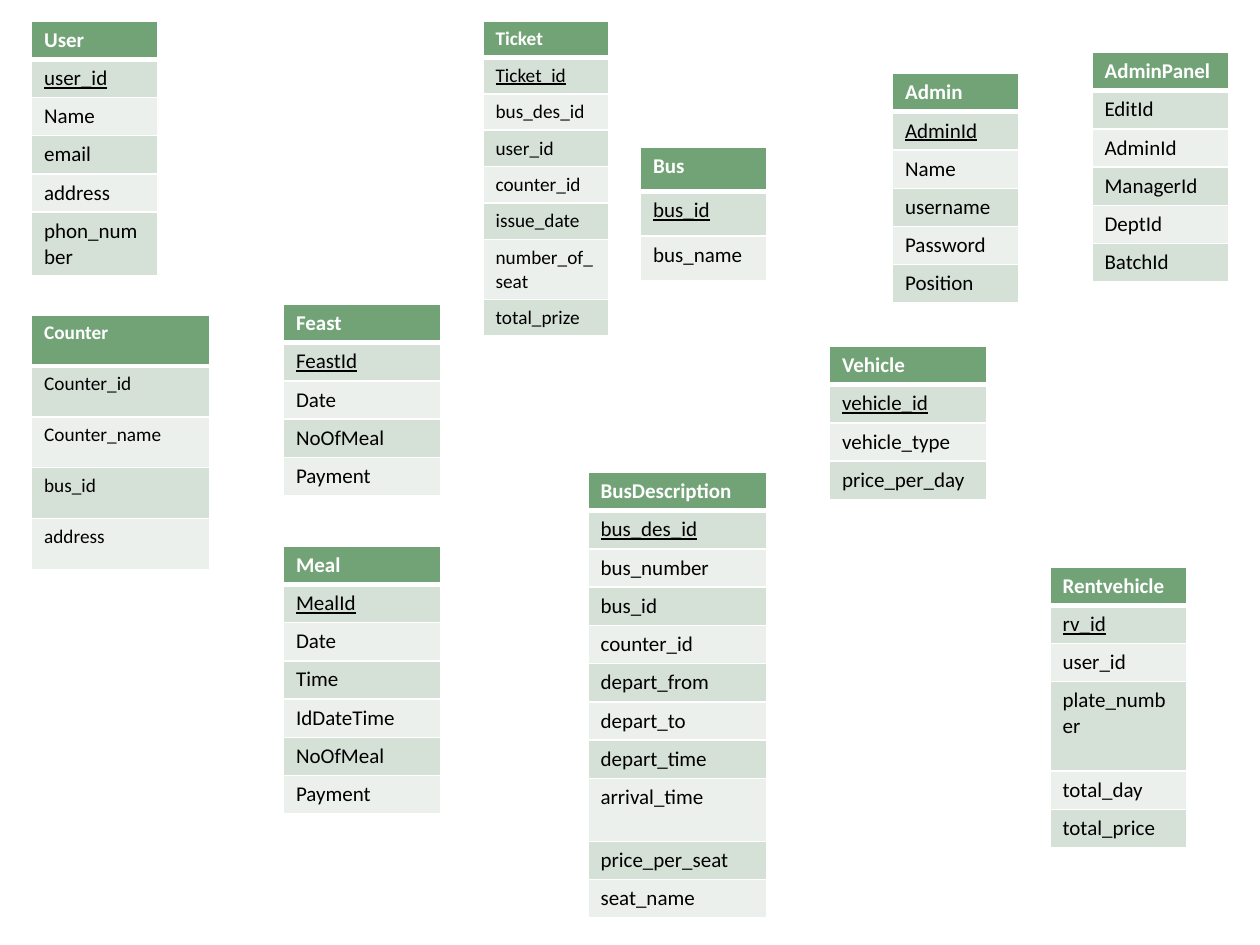
from lxml.etree import SubElement
from pptx import Presentation
from pptx.dml.color import RGBColor
from pptx.enum.text import PP_ALIGN
from pptx.oxml.ns import qn
from pptx.util import Inches, Pt

HEX = {"head": "72A376", "dark": "D5E0D6", "light": "EBF0EC",
       "white": "FFFFFF", "black": "000000"}
UNIT = Inches(1) / 12  # the slide is a grid of 120 columns by 90 rows


def write(cell, text, size=12, color="black", bold=False, under=False, align=None):
    para = cell.text_frame.paragraphs[0]
    para.alignment = align
    run = para.add_run()
    run.text = text
    font = run.font
    font.name, font.size = "Calibri", Pt(size)
    font.bold, font.underline = bold, under
    font.color.rgb = RGBColor.from_string(HEX[color])


def edge(cell, **widths):
    """Draw white borders; the schema wants left, right, top, bottom."""
    props = cell._tc.get_or_add_tcPr()
    for side in "LRTB":
        line = SubElement(props, qn(f"a:ln{side}"), w=str(Pt(widths.get(side, 1))))
        fill = SubElement(line, qn("a:solidFill"))
        SubElement(fill, qn("a:srgbClr"), val=HEX["white"])


def entity(slide, box, names, size=12, row=0.3, tall=None, key=True, just=True):
    """Place one entity: a header, then its fields, the first one the key."""
    left, top, width = (round(n * UNIT) for n in box)
    highs = [Inches((tall or {}).get(name, row)) for name in names]
    table = slide.shapes.add_table(len(names), 1, left, top, width, sum(highs)).table
    table.horz_banding = False
    table.columns[0].width = width
    for i, (name, high) in enumerate(zip(names, highs)):
        table.rows[i].height = high
        cell = table.cell(i, 0)
        head = i == 0
        # The rule under the header is thicker
        edge(cell, T=3 if i == 1 else 1, B=3 if head else 1)
        cell.fill.solid()
        tone = "head" if head else "dark" if i % 2 else "light"
        cell.fill.fore_color.rgb = RGBColor.from_string(HEX[tone])
        write(cell, name, size=size, color="white" if head else "black",
              bold=head, under=key and i == 1,
              align=PP_ALIGN.JUSTIFY if just else None)


# Each entity: box (left, top, width in grid units), names, options
ITEMS = [
    ((46, 2, 12), ["Ticket", "Ticket_id", "bus_des_id", "user_id", "counter_id",
                   "issue_date", "number_of_seat", "total_prize"],
     dict(size=11, row=0.28, tall={"number_of_seat": 0.47})),
    ((85, 7, 12), ["Admin", "AdminId", "Name", "username", "Password", "Position"], {}),
    ((61, 14, 12), ["Bus", "bus_id", "bus_name"], dict(row=1.06 / 3)),
    ((56, 45, 17), ["BusDescription", "bus_des_id", "bus_number", "bus_id",
                    "counter_id", "depart_from", "depart_to", "depart_time",
                    "arrival_time", "price_per_seat", "seat_name"],
     dict(tall={"arrival_time": 0.5})),
    ((27, 52, 15), ["Meal", "MealId", "Date", "Time", "IdDateTime", "NoOfMeal",
                    "Payment"], dict(just=False)),
    ((3, 30, 17), ["Counter", "Counter_id", "Counter_name", "bus_id", "address"],
     dict(size=11, row=2.02 / 5, key=False, just=False)),
    ((27, 29, 15), ["Feast", "FeastId", "Date", "NoOfMeal", "Payment"],
     dict(just=False)),
    ((100, 54, 13), ["Rentvehicle", "rv_id", "user_id", "plate_number", "total_day",
                     "total_price"], dict(tall={"plate_number": 0.71})),
    ((3, 2, 12), ["User", "user_id", "Name", "email", "address", "phon_number"],
     dict(tall={"phon_number": 0.5})),
    ((79, 33, 15), ["Vehicle", "vehicle_id", "vehicle_type", "price_per_day"],
     dict(just=False)),
    ((104, 5, 13), ["AdminPanel", "EditId", "AdminId", "ManagerId", "DeptId",
                    "BatchId"], dict(key=False)),
]


def main():
    deck = Presentation()
    deck.slide_width, deck.slide_height = Inches(10), Inches(7.5)
    slide = deck.slides.add_slide(deck.slide_layouts[6])
    for box, names, opts in ITEMS:
        entity(slide, box, names, **opts)
    deck.save("out.pptx")


if __name__ == "__main__":
    main()
